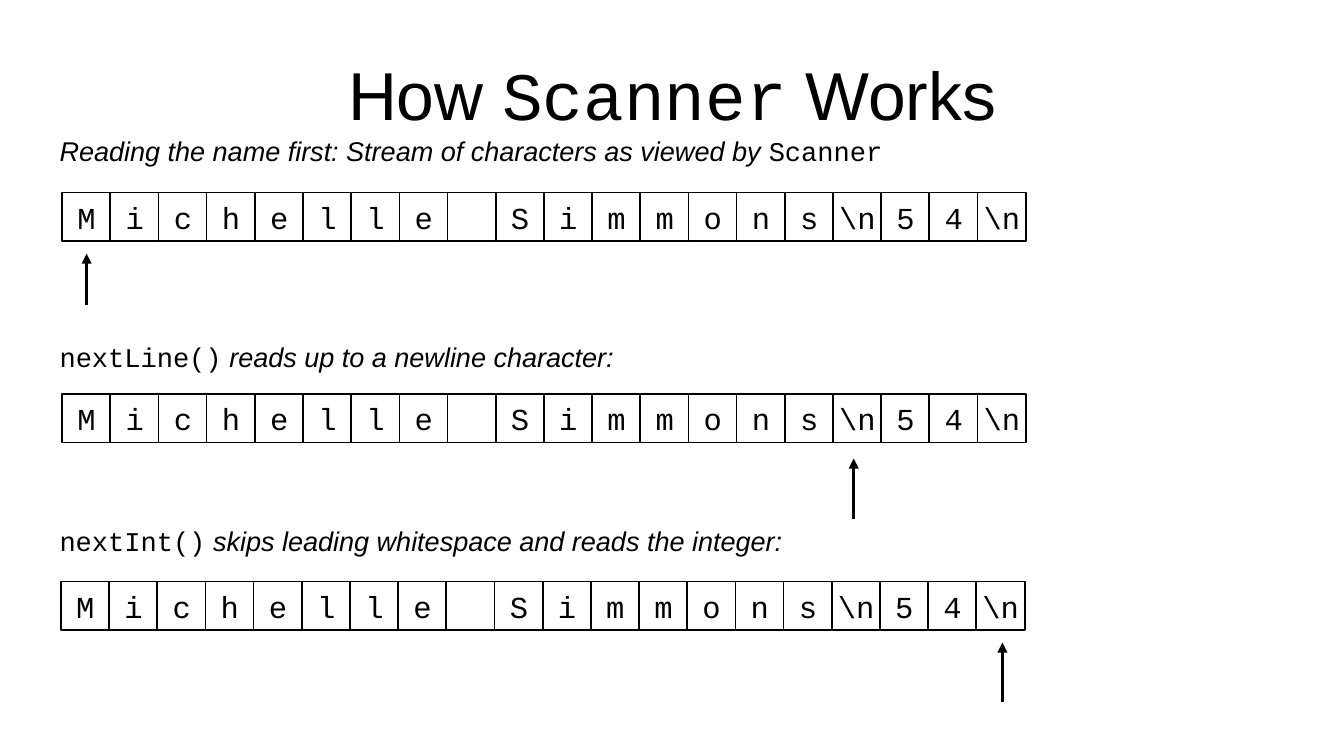
import pptx
import pptx.util
import pptx.dml.color
import pptx.enum.shapes
import pptx.enum.text
import pptx.oxml
import pptx.oxml.ns

Inches = pptx.util.Inches
Pt = pptx.util.Pt
RGBColor = pptx.dml.color.RGBColor
Align = pptx.enum.text.PP_ALIGN
Anchor = pptx.enum.text.MSO_ANCHOR
Fit = pptx.enum.text.MSO_AUTO_SIZE

# Content: text runs are (text, font, italic)
BLACK = RGBColor(0, 0, 0)
WHITE = RGBColor(255, 255, 255)
SANS, MONO = "Arial", "Courier New"

TITLE = [("How ", SANS, False), ("Scanner", MONO, False), (" Works", SANS, False)]
STREAM = list("Michelle Simmons") + [r"\n", "5", "4", r"\n"]

# Caption runs, caption top, caption width, row left, row top, arrow (x, tail, tip)
STEPS = [
    ([("Reading the name first: Stream of characters as viewed by ", SANS, True),
      ("Scanner", MONO, False)],
     1.05, 6.96, 0.51, 1.58, (0.71, 2.5, 2.08)),
    ([("nextLine()", MONO, False),
      (" reads up to a newline character:", SANS, True)],
     2.74, 4.75, 0.51, 3.23, (7, 4.26, 3.76)),
    ([("nextInt()", MONO, False),
      (" skips leading whitespace and reads the integer:", SANS, True)],
     4.25, 6.14, 0.5, 4.77, (8.22, 5.76, 5.27)),
]
LEFT = 0.39
CELL = 0.4
PITCH = 0.395


def write(frame, runs, size, align):
    para = frame.paragraphs[0]
    para.alignment = align
    for text, face, slant in runs:
        run = para.add_run()
        run.text = text
        run.font.name = face
        run.font.size = Pt(size)
        run.font.italic = slant
        run.font.color.rgb = BLACK


def inset(frame, x, y):
    frame.margin_left = frame.margin_right = Inches(x)
    frame.margin_top = frame.margin_bottom = Inches(y)


def add_cell(slide, x, y, char):
    cell = slide.shapes.add_shape(
        pptx.enum.shapes.MSO_SHAPE.RECTANGLE,
        Inches(x), Inches(y), Inches(CELL), Inches(CELL))
    cell.shadow.inherit = False
    cell.fill.solid()
    cell.fill.fore_color.rgb = WHITE
    cell.line.color.rgb = BLACK
    cell.line.width = Pt(1)
    frame = cell.text_frame
    frame.word_wrap = False
    frame.vertical_anchor = Anchor.MIDDLE
    inset(frame, 0.11, 0.06)
    if char != " ":
        write(frame, [(char, MONO, False)], 18, Align.CENTER)


def add_arrow(slide, x, tail, tip):
    arrow = slide.shapes.add_connector(
        pptx.enum.shapes.MSO_CONNECTOR.STRAIGHT,
        Inches(x), Inches(tail), Inches(x), Inches(tip))
    arrow.line.color.rgb = BLACK
    arrow.line.width = Pt(1.5)
    space = pptx.oxml.ns.nsdecls("a")
    line = arrow.line._get_or_add_ln()
    line.append(pptx.oxml.parse_xml(f'<a:tailEnd {space} type="triangle"/>'))
    line.addnext(pptx.oxml.parse_xml(f"<a:effectLst {space}/>"))


def main():
    deck = pptx.Presentation()
    deck.slide_width = Inches(11.02)
    deck.slide_height = Inches(6.2)
    slide = deck.slides.add_slide(deck.slide_layouts[5])

    # Title
    title = slide.shapes.title
    title.left, title.top = Inches(0.55), Inches(0.25)
    title.width, title.height = Inches(9.92), Inches(1.04)
    frame = title.text_frame
    frame.auto_size = Fit.NONE
    frame.vertical_anchor = Anchor.MIDDLE
    inset(frame, 0, 0)
    write(frame, TITLE, 40, Align.CENTER)

    # Each step: caption, row of characters, reading position
    for runs, top, width, row_x, row_y, mark in STEPS:
        box = slide.shapes.add_textbox(
            Inches(LEFT), Inches(top), Inches(width), Inches(0.37))
        box.text_frame.word_wrap = True
        write(box.text_frame, runs, 16, Align.LEFT)
        for i, char in enumerate(STREAM):
            add_cell(slide, row_x + i * PITCH, row_y, char)
        add_arrow(slide, *mark)

    deck.save("out.pptx")


if __name__ == "__main__":
    main()
